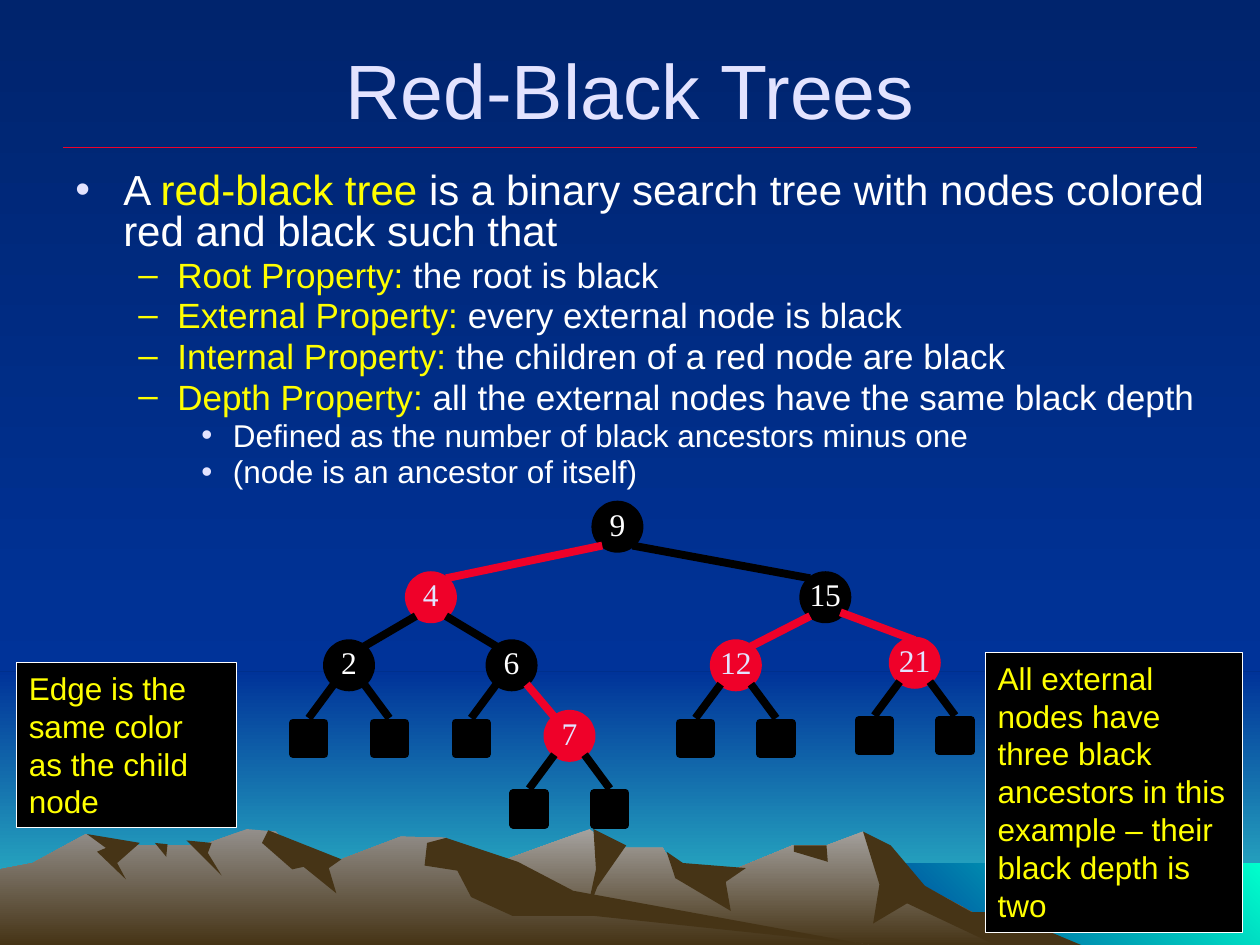
from lxml.etree import SubElement
from pptx import Presentation
from pptx.dml.color import RGBColor
from pptx.enum.shapes import MSO_CONNECTOR, MSO_SHAPE
from pptx.enum.text import MSO_ANCHOR, PP_ALIGN
from pptx.oxml.ns import qn
from pptx.util import Inches, Pt

BLACK = RGBColor(0x00, 0x00, 0x00)
WHITE = RGBColor(0xFF, 0xFF, 0xFF)
RED = RGBColor(0xEF, 0x01, 0x29)
YELLOW = RGBColor(0xFF, 0xFF, 0x00)
LAVENDER = RGBColor(0xE3, 0xE3, 0xFF)
NIGHT = RGBColor(0x00, 0x24, 0x6D)
BLUE = RGBColor(0x00, 0x33, 0x99)
TEAL = RGBColor(0x33, 0xCC, 0xCC)
AQUA = RGBColor(0x00, 0xFF, 0xCC)
EARTH = RGBColor(0x46, 0x34, 0x16)
STONE = RGBColor(0xA5, 0xA2, 0x9F)
DARK_STONE = RGBColor(0x93, 0x8F, 0x8B)
TREE_LINE = 4.5
DOWN, UP_RIGHT = 270, 45


def style(shape, colors, line=None, width=0.75, angle=DOWN):
    """Fill with one colour or a two-colour gradient, and set the outline."""
    shape.shadow.inherit = False
    if len(colors) == 1:
        shape.fill.solid()
        shape.fill.fore_color.rgb = colors[0]
    else:
        shape.fill.gradient()
        shape.fill.gradient_angle = angle
        for stop, color in zip(shape.fill.gradient_stops, colors):
            stop.color.rgb = color
    if line is None:
        shape.line.fill.background()
    else:
        shape.line.color.rgb = line
        shape.line.width = Pt(width)


def draw_line(x1, y1, x2, y2, color, width):
    line = page.shapes.add_connector(MSO_CONNECTOR.STRAIGHT, Inches(x1), Inches(y1),
                                     Inches(x2), Inches(y2))
    line.line.color.rgb = color
    line.line.width = Pt(width)
    SubElement(line._element.spPr, qn("a:effectLst"))


deck = Presentation()
deck.slide_width, deck.slide_height = Inches(10), Inches(7.5)
page = deck.slides.add_slide(deck.slide_layouts[5])

# Background, sky and sea
backdrop = page.background.fill
backdrop.gradient()
backdrop.gradient_angle = DOWN
for stop, color in zip(backdrop.gradient_stops, (NIGHT, BLUE)):
    stop.color.rgb = color
for left, top, width, height, colors, angle in [
    (0, 5.33, 10, 2.17, (BLUE, TEAL), DOWN),
    (0, 0, 10, 5.33, (NIGHT, BLUE), DOWN),
    (6.83, 6.85, 3.17, 0.65, (BLUE, AQUA), UP_RIGHT),
]:
    band = page.shapes.add_shape(MSO_SHAPE.RECTANGLE, Inches(left), Inches(top),
                                 Inches(width), Inches(height))
    style(band, colors, angle=angle)

# Mountains and their shaded faces, in hundredths of an inch
MOUNTAINS = [
    ((STONE, EARTH), [
        (258, 750), (327, 709), (399, 683), (468, 658), (486, 673), (526, 673), (536, 690),
        (566, 697), (629, 671), (656, 671), (685, 660), (723, 698), (820, 750)]),
    ((EARTH,), [
        (685, 660), (707, 671), (734, 703), (771, 724), (796, 724), (858, 750), (790, 750),
        (720, 717), (693, 733), (698, 702)]),
    ((EARTH,), [(471, 658), (497, 671), (474, 704), (465, 727), (473, 690)]),
    ((EARTH,), [(529, 676), (542, 685), (592, 689), (576, 700), (580, 723), (536, 697)]),
    ((EARTH,), [(630, 671), (656, 671), (657, 684), (630, 676)]),
    ((DARK_STONE, EARTH), [
        (0, 750), (0, 690), (26, 685), (68, 662), (94, 671), (160, 671), (196, 658),
        (219, 660), (236, 681), (271, 682), (318, 664), (354, 665), (432, 712), (690, 750)]),
    ((EARTH,), [
        (213, 659), (271, 682), (261, 689), (267, 709), (241, 688), (232, 690), (208, 669)]),
    ((EARTH,), [
        (339, 669), (354, 665), (411, 684), (455, 707), (690, 750), (472, 727), (407, 727),
        (374, 712), (363, 691), (337, 687)]),
    ((EARTH,), [(148, 667), (168, 669), (165, 677), (176, 695)]),
    ((EARTH,), [(123, 669), (133, 670), (132, 680)]),
    ((EARTH,), [
        (69, 662), (111, 669), (93, 685), (100, 698), (77, 676), (84, 673)]),
]
for colors, points in MOUNTAINS:
    outline = page.shapes.build_freeform(*points[0], scale=Inches(0.01))
    outline.add_line_segments(points[1:], close=True)
    style(outline.convert_to_shape(), colors)

# Title, brought in front of the scenery, and its rule
draw_line(0.5, 1.17, 9.5, 1.17, RED, 0.75)
title = page.shapes.title
page.shapes.element.append(title.element)
title.left, title.top, title.width, title.height = map(Inches, (0.5, 0.25, 9, 0.9))
title.text_frame.text = "Red-Black Trees"
title.text_frame.vertical_anchor = MSO_ANCHOR.MIDDLE
para = title.text_frame.paragraphs[0]
para.alignment = PP_ALIGN.CENTER
para.font.name, para.font.size, para.font.color.rgb = "Arial", Pt(44), LAVENDER

# Definition and properties: level, then (text, colour) spans
LEVELS = [(0.38, -0.38, 24, "•", LAVENDER), (0.81, -0.31, 20, "–", YELLOW),
          (1.25, -0.25, 18, "•", LAVENDER)]
STATEMENTS = [
    (0, [("A ", WHITE), ("red-black tree", YELLOW),
         (" is a binary search tree with nodes colored red and black such that", WHITE)]),
    (1, [("Root Property:", YELLOW), (" the root is black", WHITE)]),
    (1, [("External Property:", YELLOW), (" every external node is black", WHITE)]),
    (1, [("Internal Property:", YELLOW), (" the children of a red node are black", WHITE)]),
    (1, [("Depth Property:", YELLOW),
         (" all the external nodes have the same black depth", WHITE)]),
    (2, [("Defined as the number of black ancestors minus one", WHITE)]),
    (2, [("(node is an ancestor of itself)", WHITE)]),
]
body = page.shapes.add_textbox(Inches(0.5), Inches(1.33), Inches(9.25), Inches(2.83)).text_frame
body.word_wrap = True
for index, (level, spans) in enumerate(STATEMENTS):
    margin, indent, size, mark, mark_color = LEVELS[level]
    para = body.add_paragraph() if index else body.paragraphs[0]
    para.level = level
    para.line_spacing = 0.8
    para.space_before = Pt(size * 0.2 if index else 0)
    props = para._p.get_or_add_pPr()
    props.set("marL", str(Inches(margin)))
    props.set("indent", str(Inches(indent)))
    SubElement(SubElement(props, qn("a:buClr")), qn("a:srgbClr"), val=str(mark_color))
    SubElement(props, qn("a:buFont"), typeface="Arial")
    SubElement(props, qn("a:buChar"), char=mark)
    para.font.name, para.font.size = "Arial", Pt(size)
    for text, color in spans:
        span = para.add_run()
        span.text = text
        span.font.color.rgb = color

# Tree nodes: centre and colour
NODES = {
    9: (4.9, 4.18, BLACK), 4: (3.42, 4.74, RED), 15: (6.55, 4.74, BLACK),
    2: (2.77, 5.28, BLACK), 6: (4.06, 5.28, BLACK), 12: (5.84, 5.28, RED),
    21: (7.26, 5.26, RED), 7: (4.52, 5.84, RED),
}
NODE_SIZE, LEAF_SIZE = 0.35, 0.25
for key, (x, y, color) in NODES.items():
    node = page.shapes.add_shape(MSO_SHAPE.OVAL, Inches(x - NODE_SIZE / 2),
                                 Inches(y - NODE_SIZE / 2), Inches(NODE_SIZE), Inches(NODE_SIZE))
    style(node, (color,), color, TREE_LINE)
    frame = node.text_frame
    frame.margin_left = frame.margin_right = frame.margin_top = 0
    frame.margin_bottom = Inches(0.05)
    frame.word_wrap = False
    frame.vertical_anchor = MSO_ANCHOR.MIDDLE
    frame.text = str(key)
    para = frame.paragraphs[0]
    para.alignment = PP_ALIGN.CENTER
    para.font.name, para.font.size = "Times New Roman", Pt(18)
    para.font.color.rgb = LAVENDER if color == RED else WHITE

# Edges take the child's colour; a missing child is a black external square
CHILDREN = {9: (4, 15), 4: (2, 6), 15: (12, 21), 2: (None, None), 6: (None, 7),
            12: (None, None), 21: (None, None), 7: (None, None)}
for parent, pair in CHILDREN.items():
    x, y, _ = NODES[parent]
    for side, child in zip((-1, 1), pair):
        start = (x + side * 0.12, y + 0.15)
        if child is None:
            leaf_x, leaf_y = x + side * 0.32, y + 0.58
            leaf = page.shapes.add_shape(
                MSO_SHAPE.RECTANGLE, Inches(leaf_x - LEAF_SIZE / 2),
                Inches(leaf_y - LEAF_SIZE / 2), Inches(LEAF_SIZE), Inches(LEAF_SIZE))
            style(leaf, (BLACK,), BLACK, TREE_LINE)
            draw_line(*start, leaf_x, y + 0.42, BLACK, TREE_LINE)
        elif child == 21:
            draw_line(x + 0.12, y + 0.12, 7.26, 5.08, RED, TREE_LINE)
        else:
            child_x, child_y, color = NODES[child]
            draw_line(*start, child_x - side * 0.12, child_y - 0.15, color, TREE_LINE)

# Side notes
for left, top, width, height, text in [
    (7.82, 5.18, 2.04, 2.22, "All external nodes have three black ancestors in this example "
                             "– their black depth is two"),
    (0.13, 5.26, 1.75, 1.31, "Edge is the same color as the child node"),
]:
    note = page.shapes.add_shape(MSO_SHAPE.RECTANGLE, Inches(left), Inches(top),
                                 Inches(width), Inches(height))
    style(note, (BLACK,), WHITE)
    note.text_frame.word_wrap = True
    note.text_frame.vertical_anchor = MSO_ANCHOR.TOP
    note.text_frame.text = text
    para = note.text_frame.paragraphs[0]
    para.alignment = PP_ALIGN.LEFT
    para.font.name, para.font.size, para.font.color.rgb = "Arial", Pt(18), YELLOW

deck.save("out.pptx")
